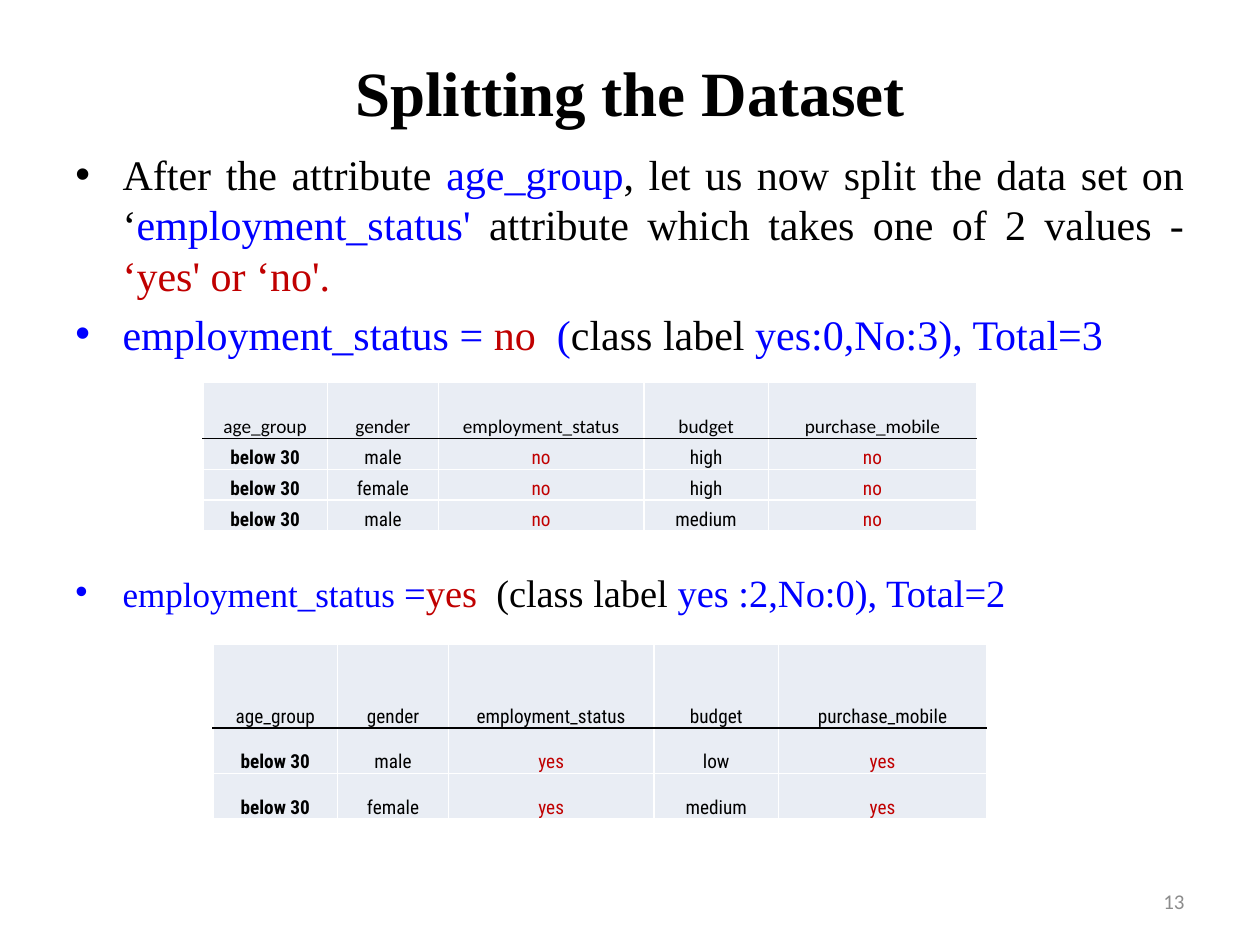
from lxml import etree
from pptx import Presentation
from pptx.dml.color import RGBColor
from pptx.enum.text import MSO_ANCHOR, PP_ALIGN
from pptx.oxml.ns import qn
from pptx.util import Inches, Pt

LEFT, RIGHT = PP_ALIGN.LEFT, PP_ALIGN.RIGHT
MID, JUST = PP_ALIGN.CENTER, PP_ALIGN.JUSTIFY
CENTER, BOTTOM = MSO_ANCHOR.MIDDLE, MSO_ANCHOR.BOTTOM
BLACK, BLUE, RED, GRAY = "000000", "0000FF", "C00000", "8C8C8C"
WHITE, PALE = "FFFFFF", "E9EDF4"
SERIF, SANS, NARROW = "Times New Roman", "Calibri", "Roboto Condensed"
UNIT = Inches(10) // 100
HEAD = ["age_group", "gender", "employment_status", "budget", "purchase_mobile"]
COLS = [9.9, 8.8, 16.3, 9.9, 16.5]
MARKED = (2, 4)


def grid(*cells):
    """Turn counts of grid units into lengths."""
    return [round(n * UNIT) for n in cells]


def color(code):
    """Turn a hex string into a colour."""
    return RGBColor.from_string(code)


def style(font, size, name, code, bold=False):
    """Set the look of a font."""
    font.size, font.name, font.bold = Pt(size), name, bold
    font.color.rgb = color(code)


def frame(slide, box):
    """Add a wrapping text box and return its frame."""
    text = slide.shapes.add_textbox(*grid(*box)).text_frame
    text.word_wrap = True
    return text


def label(slide, box, words, align, *look):
    """Add one line of text centred in the height of its box."""
    text = frame(slide, box)
    text.vertical_anchor = CENTER
    text.text = words
    line = text.paragraphs[0]
    line.alignment = align
    style(line.runs[0].font, *look)


def bullet(line):
    """Give a paragraph a hanging bullet."""
    props = line._p.get_or_add_pPr()
    hang = grid(3.75)[0]
    props.set("marL", str(hang))
    props.set("indent", str(-hang))
    etree.SubElement(props, qn("a:buFont")).set("typeface", "Arial")
    etree.SubElement(props, qn("a:buChar")).set("char", "•")


def body(slide, box, points):
    """Fill a box with bulleted points made of coloured runs."""
    text = frame(slide, box)
    for i, (align, gap, runs) in enumerate(points):
        line = text.add_paragraph() if i else text.paragraphs[0]
        line.alignment = align
        line.space_before = Pt(gap)
        bullet(line)
        for words, size, code in runs:
            run = line.add_run()
            run.text = words
            style(run.font, size, SERIF, code)


def edge(cell, side, code):
    """Draw one border of a cell."""
    props = cell._tc.get_or_add_tcPr()
    line = etree.Element(qn("a:ln" + side), w=str(Pt(1)))
    fill = etree.SubElement(line, qn("a:solidFill"))
    etree.SubElement(fill, qn("a:srgbClr")).set("val", code)
    props.insert("LRTB".index(side), line)


def sheet(slide, box, rows, tall, face):
    """Add a table with a ruled header and two marked columns."""
    data = [HEAD] + rows
    table = slide.shapes.add_table(len(data), len(HEAD), *grid(*box)).table
    table.first_row = table.horz_banding = False
    for col, wide in zip(table.columns, grid(*COLS)):
        col.width = wide
    for r, (row, high) in enumerate(zip(table.rows, grid(*tall))):
        row.height = high
        for c, cell in enumerate(row.cells):
            cell.text = data[r][c]
            cell.vertical_anchor = BOTTOM
            cell.margin_left = cell.margin_right = cell.margin_top = grid(0.1)[0]
            cell.margin_bottom = 0
            cell.fill.solid()
            cell.fill.fore_color.rgb = color(PALE)
            for side in "LRTB":
                rule = (r, side) in ((0, "B"), (1, "T"))
                edge(cell, side, BLACK if rule else WHITE)
            line = cell.text_frame.paragraphs[0]
            line.alignment = MID
            style(line.runs[0].font, 11, NARROW if r else face,
                  RED if r and c in MARKED else BLACK, r > 0 and c == 0)


def main():
    """Build the slide and save it."""
    deck = Presentation()
    deck.slide_width, deck.slide_height = grid(100, 75)
    slide = deck.slides.add_slide(deck.slide_layouts[6])
    label(slide, (5, 3, 90, 8.5), "Splitting the Dataset", MID, 36, SERIF, BLACK, True)
    body(slide, (5, 11.3, 90, 60.8), [
        (JUST, 0, [
            ("After the attribute ", 24, BLACK), ("age_group", 24, BLUE),
            (", let us now split the data set on ‘", 24, BLACK),
            ("employment_status'", 24, BLUE),
            (" attribute which takes one of 2 values - ", 24, BLACK),
            ("‘yes' or ‘no'.", 24, RED)]),
        (JUST, 4.8, [
            ("employment_status = ", 24, BLUE), ("no ", 24, RED), (" (", 24, BLUE),
            ("class label ", 24, BLACK), ("yes:0,No:3), Total=3", 24, BLUE)]),
        (LEFT, 120, [
            ("employment_status ", 20, BLUE), ("=", 22, BLUE), ("yes  ", 22, RED),
            ("(class label ", 22, BLACK), ("yes :2,No:0), Total=2", 22, BLUE)]),
    ])
    sheet(slide, (16.1, 30.3, 61.4, 11.9), [
        ["below 30", "male", "no", "high", "no"],
        ["below 30", "female", "no", "high", "no"],
        ["below 30", "male", "no", "medium", "no"],
    ], [4.5] + [2.45] * 3, SANS)
    sheet(slide, (16.9, 51.1, 61.4, 13.9), [
        ["below 30", "male", "yes", "low", "yes"],
        ["below 30", "female", "yes", "medium", "yes"],
    ], [6.7] + [3.6] * 2, NARROW)
    label(slide, (71.7, 69.5, 23.3, 4), "13", RIGHT, 12, SANS, GRAY)
    deck.save("out.pptx")


if __name__ == "__main__":
    main()
